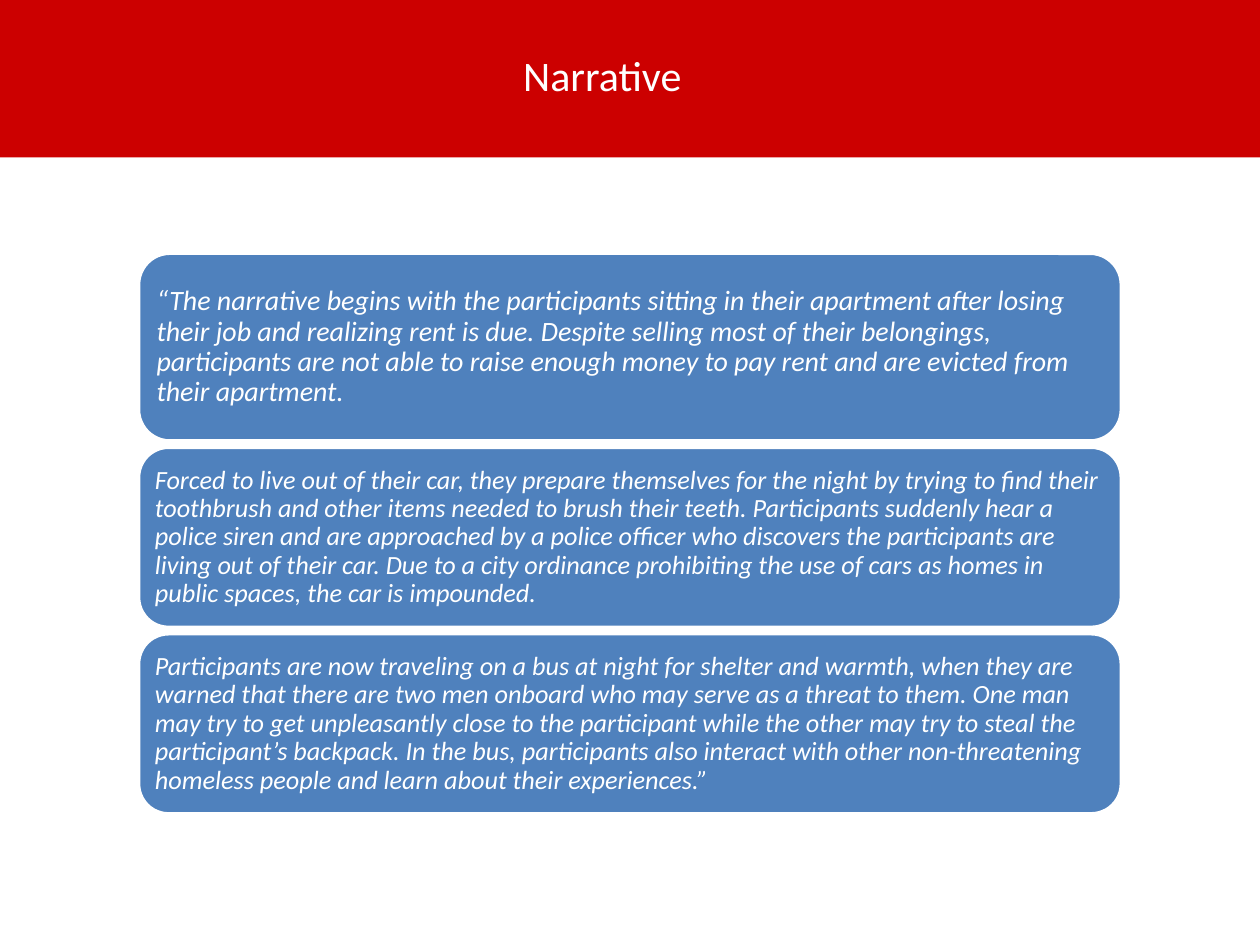
from dataclasses import dataclass

from pptx import Presentation
from pptx.dml.color import RGBColor as RGB
from pptx.enum.shapes import MSO_SHAPE as SHAPE
from pptx.enum.text import MSO_ANCHOR as ANCHOR, PP_ALIGN as ALIGN
from pptx.util import Inches, Pt


@dataclass(frozen=True)
class Theme:
    font: str = "Calibri"
    banner: RGB = RGB(0xCC, 0x00, 0x00)
    panel: RGB = RGB(0x4F, 0x81, 0xBD)
    white: RGB = RGB(0xFF, 0xFF, 0xFF)
    title_size: int = 24
    lead_size: int = 16
    body_size: int = 15


class SlideBuilder:
    def __init__(self, slide, theme):
        self.slide = slide
        self.theme = theme

    def shape(self, kind, x, y, w, h, fill):
        sp = self.slide.shapes.add_shape(
            kind, Inches(x), Inches(y), Inches(w), Inches(h))
        sp.shadow.inherit = False
        sp.fill.solid()
        sp.fill.fore_color.rgb = fill
        sp.line.fill.background()
        return sp

    def text(self, sp, text, size, align, italic=False):
        tf = sp.text_frame
        tf.word_wrap = True
        tf.vertical_anchor = ANCHOR.MIDDLE
        tf.text = text
        p = tf.paragraphs[0]
        p.alignment = align
        font = p.runs[0].font
        font.name = self.theme.font
        font.size = Pt(size)
        font.italic = italic
        font.color.rgb = self.theme.white
        return tf

    def banner(self, w, h):
        self.shape(SHAPE.RECTANGLE, 0, 0, w, h, self.theme.banner)

    def title(self, text, x, y, w, h):
        sp = self.slide.shapes.add_textbox(
            Inches(x), Inches(y), Inches(w), Inches(h))
        self.text(sp, text, self.theme.title_size, ALIGN.CENTER)

    def panel(self, text, x, y, w, h, size, inset):
        sp = self.shape(SHAPE.ROUNDED_RECTANGLE, x, y, w, h, self.theme.panel)
        sp.line.color.rgb = self.theme.white
        sp.line.width = Pt(2)
        tf = self.text(sp, text, size, ALIGN.LEFT, italic=True)
        tf.margin_left = tf.margin_right = Inches(inset)
        tf.margin_top = tf.margin_bottom = Inches(inset)
        tf.paragraphs[0].line_spacing = 0.9


def main():
    theme = Theme()
    prs = Presentation()
    prs.slide_width, prs.slide_height = Inches(10), Inches(7.5)
    s = SlideBuilder(prs.slides.add_slide(prs.slide_layouts[6]), theme)

    s.banner(10, 1.25)
    s.title("Narrative", 0.67, -0.03, 8.22, 1.25)

    panels = [
        ("“The narrative begins with the participants sitting in their "
         "apartment after losing their job and realizing rent is due. Despite "
         "selling most of their belongings, participants are not able to raise "
         "enough money to pay rent and are evicted from their apartment.",
         1.49, theme.lead_size, 0.07),
        ("Forced to live out of their car, they prepare themselves for the "
         "night by trying to find their toothbrush and other items needed to "
         "brush their teeth. Participants suddenly hear a police siren and are "
         "approached by a police officer who discovers the participants are "
         "living out of their car. Due to a city ordinance prohibiting the use "
         "of cars as homes in public spaces, the car is impounded.",
         1.43, theme.body_size, 0.06),
        ("Participants are now traveling on a bus at night for shelter and "
         "warmth, when they are warned that there are two men onboard who may "
         "serve as a threat to them. One man may try to get unpleasantly close "
         "to the participant while the other may try to steal the "
         "participant’s backpack. In the bus, participants also interact with "
         "other non-threatening homeless people and learn about their "
         "experiences.”",
         1.43, theme.body_size, 0.06),
    ]
    top, gap = 2.01, 0.05
    for text, height, size, inset in panels:
        s.panel(text, 1.1, top, 7.8, height, size, inset)
        top += height + gap

    prs.save("out.pptx")


if __name__ == "__main__":
    main()
